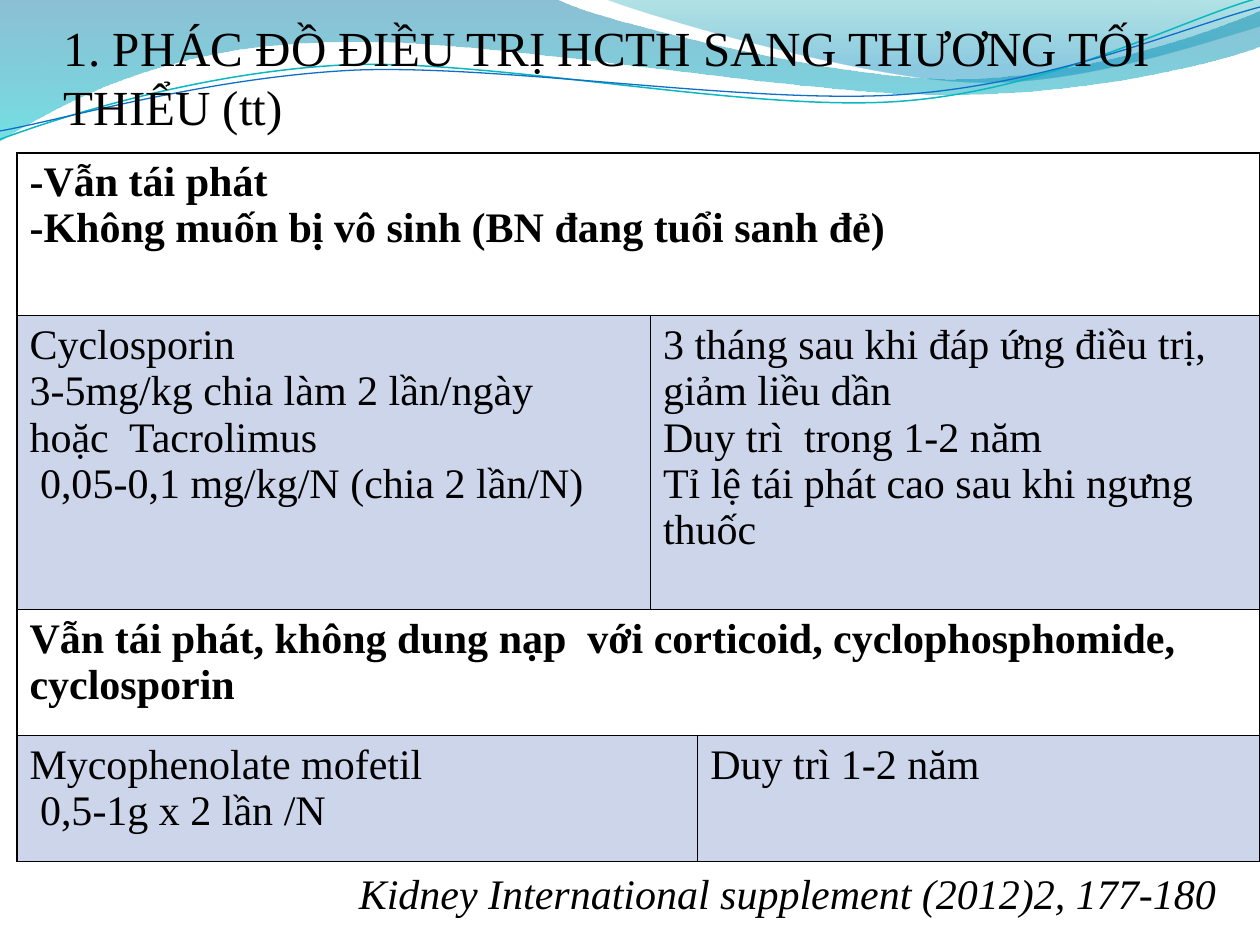
import pptx
import pptx.dml.color
import pptx.enum.text
import pptx.oxml
import pptx.oxml.ns
import pptx.util
from lxml import etree

Pt = pptx.util.Pt
qn = pptx.oxml.ns.qn
FONT = "Times New Roman"
BLACK, WHITE, PALE_BLUE = "000000", "FFFFFF", "CCD5EA"

TITLE = "1. PHÁC ĐỒ ĐIỀU TRỊ HCTH SANG THƯƠNG TỐI THIỂU (tt)"
CITATION = "Kidney International supplement (2012)2, 177-180"

COLUMN_WIDTHS = [362, 27, 321]
# Each row: height, fill, bold, then cells as (first column, last column, lines)
ROWS = [
    (93, WHITE, True, [
        (0, 2, ["-Vẫn tái phát", "-Không muốn bị vô sinh (BN đang tuổi sanh đẻ)"])]),
    (168, PALE_BLUE, False, [
        (0, 0, ["Cyclosporin", "3-5mg/kg chia làm 2 lần/ngày", "hoặc  Tacrolimus",
                " 0,05-0,1 mg/kg/N (chia 2 lần/N)"]),
        (1, 2, ["3 tháng sau khi đáp ứng điều trị, giảm liều dần",
                "Duy trì  trong 1-2 năm",
                "Tỉ lệ tái phát cao sau khi ngưng thuốc"])]),
    (72, WHITE, True, [
        (0, 2, ["Vẫn tái phát, không dung nạp  với corticoid, cyclophosphomide, cyclosporin"])]),
    (72, PALE_BLUE, False, [
        (0, 1, ["Mycophenolate mofetil", " 0,5-1g x 2 lần /N"]),
        (2, 2, ["Duy trì 1-2 năm"])]),
]

# Outlines: a start point, then steps of one point (straight) or three (cubic curve).
# Gradient stops: position %, colour, opacity %
BANDS = [
    ([(0, 0), [(317, -1)], [(343, 12), (478, 45), (546, 45)],
      [(614, 45), (690, 19), (720, 6)], [(721, 26)],
      [(708, 32), (626, 55), (537, 54)], [(448, 54), (275, 20), (185, 24)],
      [(93, 26), (33, 60), (-1, 81)]],
     [(0, "0074A1", 45), (100, "00C6CF", 55)]),
    ([(345, -1), [(367, 8), (491, 45), (554, 47)],
      [(616, 50), (692, 23), (720, 15)], [(720, 0)]],
     [(0, "00A1A9", 30), (80, "008BBF", 45)]),
]
WAVES = [
    ([(-1, 80), [(34, 67), (114, 41), (199, 37)], [(284, 34), (427, 64), (513, 58)],
      [(600, 52), (675, 11), (719, -1)]], "0AB8BF", 0.85),
    ([(-1, 75), [(34, 69), (118, 44), (204, 40)], [(290, 37), (430, 60), (516, 54)],
      [(602, 48), (678, 15), (720, 4)]], "0F6FC6", 0.75),
]


def rgb(value):
    return pptx.dml.color.RGBColor.from_string(value)


def drawing_xml(text):
    return pptx.oxml.parse_xml(text.replace(">", f" {pptx.oxml.ns.nsdecls('a')}>", 1))


def add_outline(page, outline, closed):
    """Draw the outline through its anchors, then bend the curved steps."""
    start, *steps = outline
    builder = page.shapes.build_freeform(Pt(start[0]), Pt(start[1]))
    builder.add_line_segments([(Pt(x), Pt(y)) for x, y in (step[-1] for step in steps)],
                              close=closed)
    shape = builder.convert_to_shape()
    shape.shadow.inherit = False
    segments = list(shape._element.iter(qn("a:lnTo")))
    for segment, step in zip(segments, steps):
        if len(step) == 3:
            curve = etree.Element(qn("a:cubicBezTo"))
            for x, y in step:
                etree.SubElement(curve, qn("a:pt"), x=str(Pt(x) - shape.left),
                                 y=str(Pt(y) - shape.top))
            segment.getparent().replace(segment, curve)
    return shape


def add_band(page, outline, stops):
    shape = add_outline(page, outline, True)
    shape.line.fill.background()
    shape.fill.background()
    stop_xml = "".join(
        f'<a:gs pos="{place * 1000}"><a:srgbClr val="{colour}">'
        f'<a:alpha val="{opacity * 1000}"/></a:srgbClr></a:gs>'
        for place, colour, opacity in stops)
    gradient = drawing_xml(f'<a:gradFill><a:gsLst>{stop_xml}</a:gsLst>'
                           '<a:lin ang="5400000" scaled="0"/></a:gradFill>')
    properties = shape.fill._xPr
    properties.replace(properties.find(qn("a:noFill")), gradient)


def add_wave(page, outline, colour, width):
    shape = add_outline(page, outline, False)
    shape.fill.background()
    shape.line.color.rgb = rgb(colour)
    shape.line.width = Pt(width)


def write(frame, lines, size, bold=False, italic=False):
    frame.word_wrap = True
    for index, line in enumerate(lines):
        para = frame.paragraphs[0] if index == 0 else frame.add_paragraph()
        para.text = line
        para.font.name = FONT
        para.font.size = Pt(size)
        para.font.bold = bold
        para.font.italic = italic
        para.font.color.rgb = rgb(BLACK)


def add_label(page, place, text, size, italic=False):
    box = page.shapes.add_textbox(*map(Pt, place))
    box.text_frame.vertical_anchor = pptx.enum.text.MSO_ANCHOR.MIDDLE
    write(box.text_frame, [text], size, italic=italic)


def add_borders(cell):
    properties = cell._tc.get_or_add_tcPr()
    for index, side in enumerate("LRTB"):
        properties.insert(index, drawing_xml(
            f'<a:ln{side} w="{Pt(1)}"><a:solidFill><a:srgbClr val="{BLACK}"/>'
            f'</a:solidFill></a:ln{side}>'))


def add_treatment_table(page, left, top):
    heights = [row[0] for row in ROWS]
    table = page.shapes.add_table(
        len(ROWS), len(COLUMN_WIDTHS), Pt(left), Pt(top),
        Pt(sum(COLUMN_WIDTHS)), Pt(sum(heights))).table
    table.first_row = table.horz_banding = False
    for column, width in zip(table.columns, COLUMN_WIDTHS):
        column.width = Pt(width)
    for number, (height, colour, bold, cells) in enumerate(ROWS):
        table.rows[number].height = Pt(height)
        for cell in table.rows[number].cells:
            cell.fill.solid()
            cell.fill.fore_color.rgb = rgb(colour)
            add_borders(cell)
        for first, last, lines in cells:
            cell = table.cell(number, first)
            if last > first:
                cell.merge(table.cell(number, last))
            write(cell.text_frame, lines, 24, bold=bold)


def main():
    deck = pptx.Presentation()
    deck.slide_width, deck.slide_height = Pt(720), Pt(540)
    page = deck.slides.add_slide(deck.slide_layouts[6])
    for band in BANDS:
        add_band(page, *band)
    for wave in WAVES:
        add_wave(page, *wave)
    add_treatment_table(page, 9.7, 87.3)
    add_label(page, (198, 492, 513, 36), CITATION, 24, italic=True)
    add_label(page, (29.5, 6, 678, 75), TITLE, 28)
    deck.save("out.pptx")


if __name__ == "__main__":
    main()
